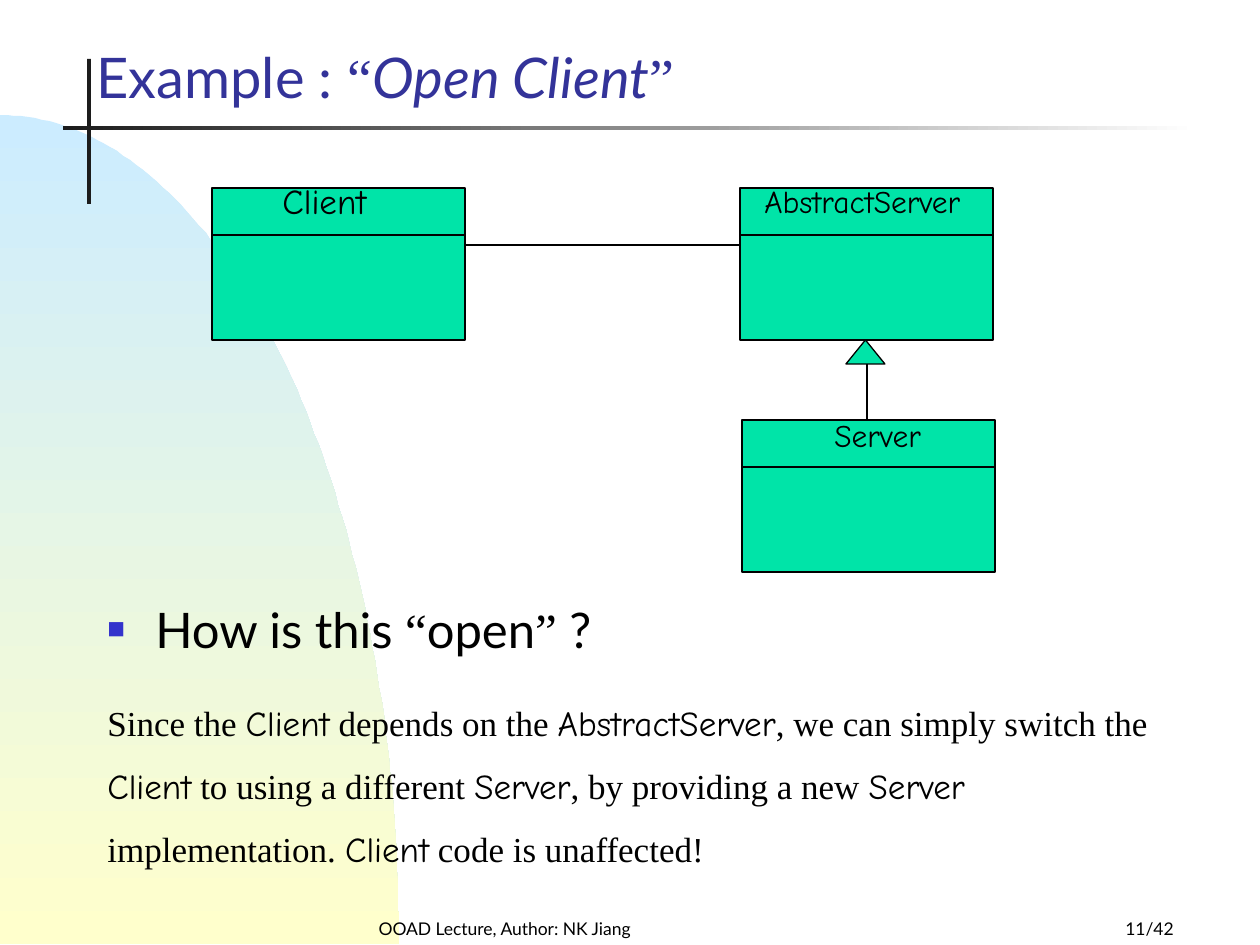
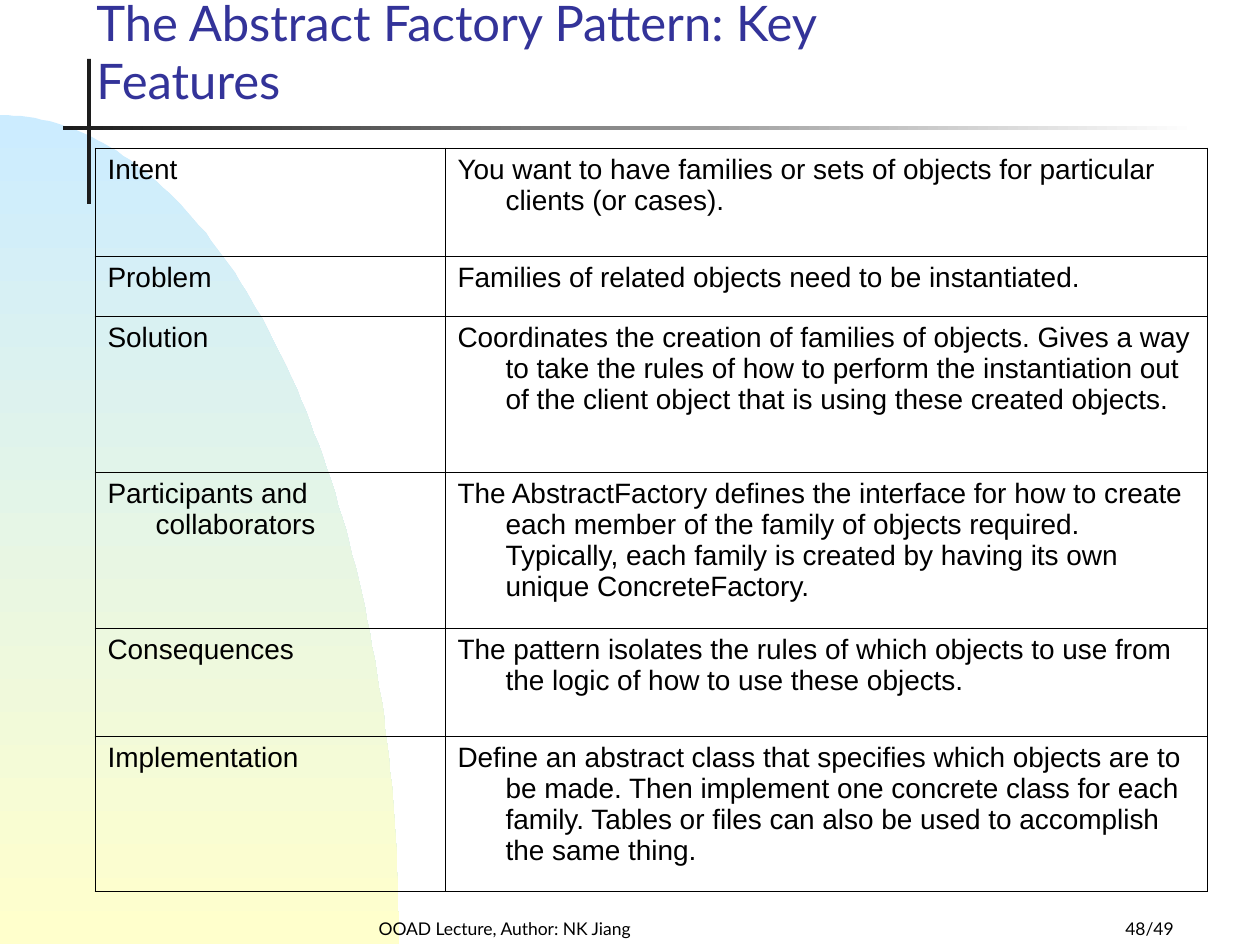
import itertools
import math

import pptx
import pptx.dml.color
import pptx.enum.shapes
import pptx.enum.text
import pptx.oxml
import pptx.oxml.ns
import pptx.util
from lxml import etree

RGB = pptx.dml.color.RGBColor
BLACK = RGB(0x00, 0x00, 0x00)
WHITE = RGB(0xFF, 0xFF, 0xFF)
INK = RGB(0x1C, 0x1C, 0x1C)
TITLE_BLUE = RGB(0x33, 0x33, 0x99)
SKY = RGB(0xCC, 0xEC, 0xFF)
CREAM = RGB(0xFF, 0xFF, 0xCC)
CLASS_GREEN = RGB(0x00, 0xE4, 0xA8)
BULLET_COLOR = "3333CC"

SCALE = 914400 / 126  # EMU per px
WIDTH, HEIGHT = 1260, 945
INDENT = 48

LATO = {"name": "Lato"}
LATO_ITALIC = {"name": "Lato", "italic": True}
TIMES = {"name": "Times New Roman"}
COMIC = {"name": "Comic Neue"}
ARIAL = {"name": "Arial"}

SHAPE = pptx.enum.shapes.MSO_SHAPE
ALIGN = pptx.enum.text.PP_ALIGN
BOTTOM = pptx.enum.text.MSO_ANCHOR.BOTTOM

FEATURES = [
    (108, "Intent", "You want to have families or sets of objects for particular "
     "clients (or cases)."),
    (60, "Problem", "Families of related objects need to be instantiated."),
    (156, "Solution", "Coordinates the creation of families of objects. Gives a way "
     "to take the rules of how to perform the instantiation out of the client object "
     "that is using these created objects."),
    (156, "Participants and collaborators", "The AbstractFactory defines the "
     "interface for how to create each member of the family of objects required. "
     "Typically, each family is created by having its own unique ConcreteFactory."),
    (108, "Consequences", "The pattern isolates the rules of which objects to use "
     "from the logic of how to use these objects."),
    (156, "Implementation", "Define an abstract class that specifies which objects "
     "are to be made. Then implement one concrete class for each family. Tables or "
     "files can also be used to accomplish the same thing."),
]


def px(*lengths):
    return [pptx.util.Emu(round(n * SCALE)) for n in lengths]


def set_attrs(obj, attrs):
    for name, value in attrs.items():
        setattr(obj, name, value)


def add_runs(p, text, fonts, size, color=BLACK):
    """Split text at each bar and give the pieces the fonts in turn."""
    for piece, font in zip(text.split("|"), itertools.cycle(fonts)):
        r = p.add_run()
        r.text = piece
        set_attrs(r.font, {"size": pptx.util.Pt(size), **font})
        r.font.color.rgb = color


def add_text(s, box, text, fonts, size, color=BLACK, frame=None, para=None):
    tf = s.shapes.add_textbox(*px(*box)).text_frame
    set_attrs(tf, {"word_wrap": True, **(frame or {})})
    p = tf.paragraphs[0]
    set_attrs(p, para or {})
    add_runs(p, text, fonts, size, color)
    return p


def hang(p):
    pPr = p._p.get_or_add_pPr()
    indent, = px(INDENT)
    pPr.set("marL", str(indent))
    pPr.set("indent", str(-indent))
    return pPr


def add_bullet(p):
    pPr = hang(p)
    ns = pptx.oxml.ns.nsdecls("a")
    for xml in (f'<a:buClr {ns}><a:srgbClr val="{BULLET_COLOR}"/></a:buClr>',
                f'<a:buSzPct {ns} val="60000"/>',
                f'<a:buFont {ns} typeface="Arial"/>',
                f'<a:buChar {ns} char="■"/>'):
        pPr.append(pptx.oxml.parse_xml(xml))


def paint(sp, fill, outlined=False):
    sp.shadow.inherit = False
    sp.fill.solid()
    sp.fill.fore_color.rgb = fill
    if outlined:
        sp.line.color.rgb = BLACK
        sp.line.width = pptx.util.Pt(0.75)
    else:
        sp.line.fill.background()


def paint_gradient(sp, start, end, angle):
    paint(sp, start)
    sp.fill.gradient()
    sp.fill.gradient_angle = angle
    for stop, color in zip(sp.fill.gradient_stops, (start, end)):
        stop.color.rgb = color


def add_line(s, x1, y1, x2, y2, width=0.75):
    line = s.shapes.add_connector(
        pptx.enum.shapes.MSO_CONNECTOR.STRAIGHT, *px(x1, y1, x2, y2))
    line.line.color.rgb = BLACK
    line.line.width = pptx.util.Pt(width)
    etree.SubElement(line._element.spPr, pptx.oxml.ns.qn("a:effectLst"))


def add_quarter_ellipse(s, top, rx, ry, steps=90):
    angles = [math.pi / 2 * i / steps for i in range(steps + 1)]
    points = [(rx * math.sin(a), top + ry * (1 - math.cos(a))) for a in angles]
    outline = s.shapes.build_freeform(0, top, SCALE)
    outline.add_line_segments(points[1:] + [(0, top + ry)], close=True)
    paint_gradient(outline.convert_to_shape(), SKY, CREAM, 270)


def add_base_slide(prs, title, fonts, size, page):
    s = prs.slides.add_slide(prs.slide_layouts[6])
    s.background.fill.solid()
    s.background.fill.fore_color.rgb = WHITE
    add_quarter_ellipse(s, 115, 399, 829)
    paint(s.shapes.add_shape(SHAPE.RECTANGLE, *px(87, 59, 4, 145)), INK)
    rule = s.shapes.add_shape(SHAPE.RECTANGLE, *px(63, 126, 1134, 4))
    paint_gradient(rule, INK, WHITE, 0)
    anchor = {"vertical_anchor": BOTTOM}
    for left, width, text, align in (
            (305, 399, "OOAD Lecture, Author: NK Jiang", ALIGN.CENTER),
            (924, 262, page, ALIGN.RIGHT)):
        add_text(s, (left, 903, width, 42), text, [LATO], 10,
                 frame=anchor, para={"alignment": align})
    add_text(s, (84, 21, 892, 95), title, fonts, size, TITLE_BLUE, frame=anchor)
    return s


def add_class(s, left, top, name, size, label_box):
    """UML class: a box, its divider and a name label."""
    width, height, divider = 253, 152, 47
    box = s.shapes.add_shape(SHAPE.RECTANGLE, *px(left, top, width, height))
    paint(box, CLASS_GREEN, outlined=True)
    add_line(s, left, top + divider, left + width, top + divider)
    add_text(s, label_box, name, [COMIC], size,
             frame={"word_wrap": False}, para={"line_spacing": 0.8})


def add_generalization(s, x, top, bottom):
    width, height = 39, 24
    head = s.shapes.add_shape(
        SHAPE.ISOSCELES_TRIANGLE, *px(x - width // 2 - 2, top, width, height))
    paint(head, CLASS_GREEN, outlined=True)
    add_line(s, x, top + height, x, bottom)


def add_borders(cell):
    tcPr = cell._tc.get_or_add_tcPr()
    ns = pptx.oxml.ns.nsdecls("a")
    for side in "LRTB":
        tcPr.append(pptx.oxml.parse_xml(
            f'<a:ln{side} {ns} w="5715"><a:solidFill><a:srgbClr val="{BLACK}"/>'
            f'</a:solidFill></a:ln{side}>'))


def add_feature_table(s, left, top, widths):
    total = sum(height for height, *_ in FEATURES)
    table = s.shapes.add_table(
        len(FEATURES), len(widths), *px(left, top, sum(widths), total)).table
    set_attrs(table, {"first_row": False, "horz_banding": False})
    for column, width in zip(table.columns, px(*widths)):
        column.width = width
    for row, (height, *texts) in zip(table.rows, FEATURES):
        row.height, = px(height)
        for cell, text in zip(row.cells, texts):
            add_borders(cell)
            cell.fill.background()
            p = cell.text_frame.paragraphs[0]
            hang(p)
            add_runs(p, text, [ARIAL], 16)


def add_open_client_slide(prs):
    s = add_base_slide(prs, "Example : |“|Open Client|”",
                       [LATO, TIMES, LATO_ITALIC, TIMES], 32, "11/42")
    question = add_text(s, (95, 593, 1113, 80), "How is this |“|open|”| ?",
                        [LATO, TIMES], 28)
    add_bullet(question)
    add_class(s, 212, 188, "Client", 20, (270, 181, 110, 47))
    add_class(s, 740, 188, "AbstractServer", 18, (752, 183, 222, 43))
    add_line(s, 465, 245, 741, 245, 1.5)
    add_class(s, 742, 420, "Server", 18, (822, 417, 112, 43))
    add_generalization(s, 867, 340, 419)
    add_text(s, (95, 674, 1110, 202),
             "Since the |Client| depends on the |AbstractServer|, we can simply "
             "switch the |Client| to using a different |Server|, by providing a new "
             "|Server| implementation. |Client| code is unaffected!",
             [TIMES, COMIC], 20, para={"line_spacing": 1.5})


def add_key_features_slide(prs):
    s = add_base_slide(prs, "The Abstract Factory Pattern: Key Features",
                       [LATO], 28, "48/49")
    add_feature_table(s, 95, 148, (350, 762))


def main():
    prs = pptx.Presentation()
    prs.slide_width, prs.slide_height = px(WIDTH, HEIGHT)
    add_open_client_slide(prs)
    add_key_features_slide(prs)
    prs.save("out.pptx")


if __name__ == "__main__":
    main()
